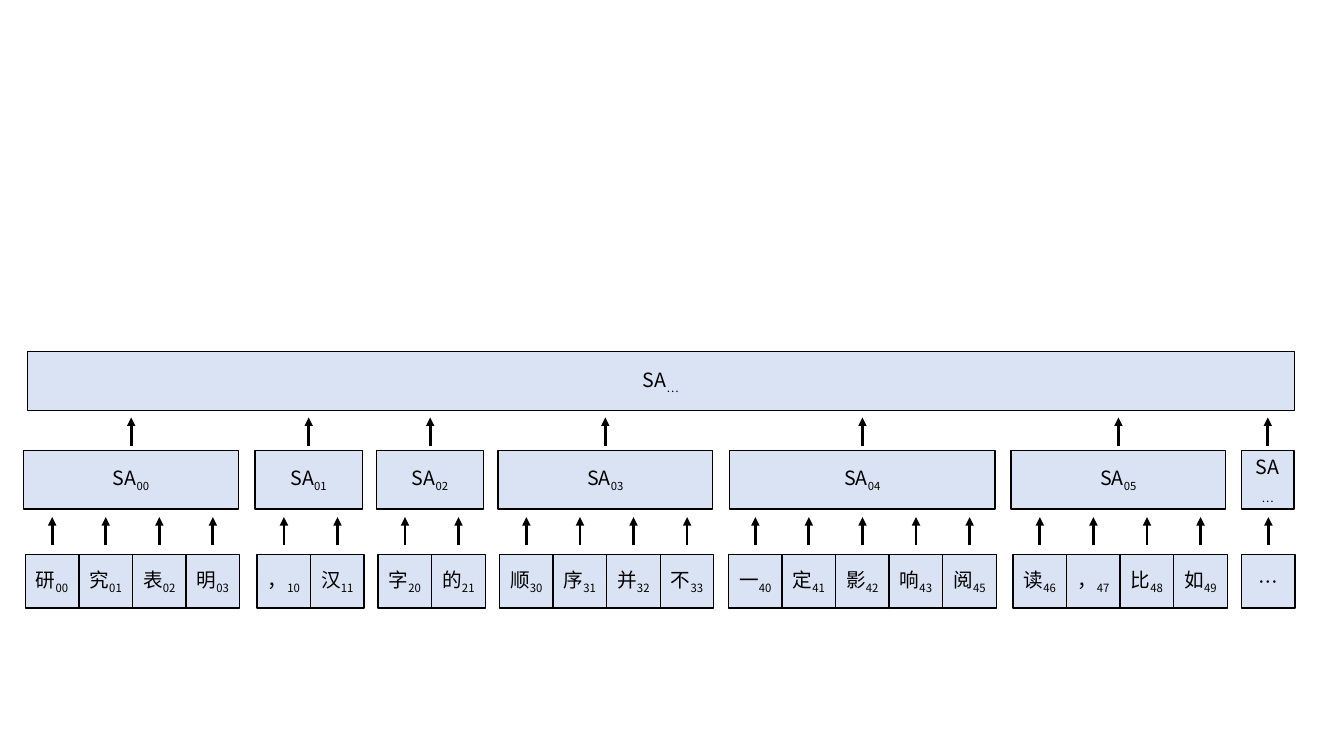
from itertools import zip_longest

from lxml import etree
from pptx import Presentation
from pptx.dml.color import RGBColor
from pptx.enum import shapes, text
from pptx.oxml import ns
from pptx.util import Cm, Pt

# Each group: characters, their indices, left of cells, SA index, left and width of SA box
GROUPS = [
    ("研究表明", "00 01 02 03", 0.64, "00", 0.6, 5.41),
    ("，汉", "10 11", 6.48, "01", 6.43, 2.7),
    ("字的", "20 21", 9.53, "02", 9.49, 2.7),
    ("顺序并不", "30 31 32 33", 12.59, "03", 12.55, 5.41),
    ("一定影响阅", "40 41 42 43 45", 18.36, "04", 18.39, 6.69),
    ("读，比如", "46 47 48 49", 25.53, "05", 25.48, 5.41),
    ("…", "", 31.29, "…", 31.29, 1.32),
]
TOP = ("SA", "…", 0.69, 31.93)

THEME = {
    "font": "Noto Sans CJK SC", "size": Pt(14), "sub": "-25000",
    "fill": RGBColor.from_string("DAE3F3"), "ink": RGBColor(0, 0, 0),
    "edge": Pt(1), "arrow": Pt(2),
}

CELL = 1.35
BAR = 1.48
CELL_Y, BAR_Y, TOP_Y = 13.97, 11.35, 8.86
LOW, HIGH = (13.74, 13.03), (11.23, 10.52)


def add_run(para, words, sub=False):
    """Add one styled run, lowered if it is an index."""
    run = para.add_run()
    run.text = words
    run.font.size = THEME["size"]
    run.font.name = THEME["font"]
    run.font.color.rgb = THEME["ink"]
    props = run._r.get_or_add_rPr()
    etree.SubElement(props, ns.qn("a:ea"), typeface=THEME["font"])
    if sub:
        props.set("baseline", THEME["sub"])


def add_box(slide, left, top, width, height, label, index):
    """Add a bordered box with a centred label and its index."""
    box = slide.shapes.add_shape(
        shapes.MSO_SHAPE.RECTANGLE, Cm(left), Cm(top), Cm(width), Cm(height))
    box.shadow.inherit = False
    box.fill.solid()
    box.fill.fore_color.rgb = THEME["fill"]
    box.line.color.rgb = THEME["ink"]
    box.line.width = THEME["edge"]
    frame = box.text_frame
    frame.word_wrap = True
    frame.vertical_anchor = text.MSO_ANCHOR.MIDDLE
    para = frame.paragraphs[0]
    para.alignment = text.PP_ALIGN.CENTER
    add_run(para, label)
    if index:
        add_run(para, index, sub=True)


def add_arrow(slide, mid, span):
    """Add an upward arrow at the given centre."""
    start, end = span
    arrow = slide.shapes.add_connector(
        shapes.MSO_CONNECTOR.STRAIGHT, Cm(mid), Cm(start), Cm(mid), Cm(end))
    arrow.line.color.rgb = THEME["ink"]
    arrow.line.width = THEME["arrow"]
    etree.SubElement(arrow.line._get_or_add_ln(), ns.qn("a:tailEnd"), type="triangle")
    etree.SubElement(arrow._element.spPr, ns.qn("a:effectLst"))


def add_group(slide, chars, marks, left, index, bar_left, width):
    """Add one word group: cells, arrows and its SA box."""
    for i, (char, mark) in enumerate(zip_longest(chars, marks.split())):
        x = left + i * CELL
        add_box(slide, x, CELL_Y, CELL, CELL, char, mark)
        add_arrow(slide, x + CELL / 2, LOW)
    add_box(slide, bar_left, BAR_Y, width, BAR, "SA", index)
    add_arrow(slide, bar_left + width / 2, HIGH)


def main():
    """Build the slide and save it."""
    deck = Presentation()
    deck.slide_width, deck.slide_height = Cm(33.87), Cm(19.05)
    slide = deck.slides.add_slide(deck.slide_layouts[6])
    for group in GROUPS:
        add_group(slide, *group)
    label, index, left, width = TOP
    add_box(slide, left, TOP_Y, width, BAR, label, index)
    deck.save("out.pptx")


main()
